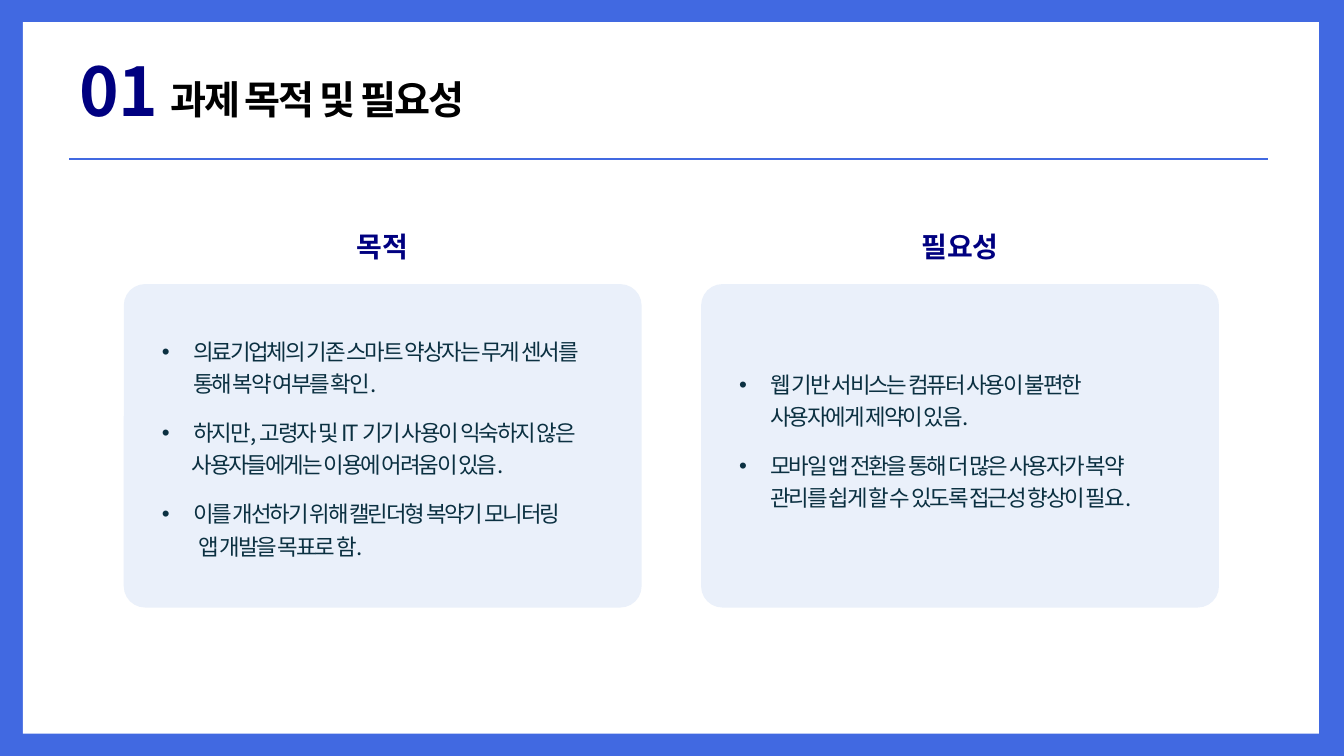
from lxml.etree import SubElement
from pptx import Presentation
from pptx.dml.color import RGBColor
from pptx.enum.shapes import MSO_CONNECTOR, MSO_SHAPE
from pptx.enum.text import MSO_AUTO_SIZE, PP_ALIGN
from pptx.oxml.ns import qn
from pptx.util import Cm, Pt

FONT = "Noto Sans CJK KR"
BLUE = RGBColor(0x41, 0x69, 0xE1)
NAVY = RGBColor(0x00, 0x00, 0x80)
PALE = RGBColor(0xEA, 0xF0, 0xFA)
INK = RGBColor(0x0B, 0x30, 0x41)
BLACK = RGBColor(0x00, 0x00, 0x00)
WHITE = RGBColor(0xFF, 0xFF, 0xFF)

HANG = 0.79  # bullet indent in cm

# Each item: text, bulleted, left margin in cm, space after in points
GOALS = [
    ("의료기업체의 기존 스마트 약상자는 무게 센서를 통해 복약 여부를 확인.", True, HANG, 12),
    ("하지만, 고령자 및 IT 기기 사용이 익숙하지 않은", True, HANG, 0),
    ("사용자들에게는 이용에 어려움이 있음.", False, 0.75, 12),
    ("이를 개선하기 위해 캘린더형 복약기 모니터링", True, HANG, 0),
    ("앱 개발을 목표로 함.", False, 0.92, 4),
]
NEEDS = [
    ("웹 기반 서비스는 컴퓨터 사용이 불편한 사용자에게 제약이 있음.", True, HANG, 12),
    ("모바일 앱 전환을 통해 더 많은 사용자가 복약 관리를 쉽게 할 수 있도록 "
     "접근성 향상이 필요.", True, HANG, 0),
]


def add_box(slide, kind, x, y, w, h, color):
    box = slide.shapes.add_shape(kind, Cm(x), Cm(y), Cm(w), Cm(h))
    box.shadow.inherit = False
    box.fill.solid()
    box.fill.fore_color.rgb = color
    box.line.fill.background()
    return box


def add_frame(slide, x, y, w, h):
    frame = slide.shapes.add_textbox(Cm(x), Cm(y), Cm(w), Cm(h)).text_frame
    frame.word_wrap = True
    frame.auto_size = MSO_AUTO_SIZE.SHAPE_TO_FIT_TEXT
    return frame


def set_font(para, size, color, bold=False, tight=False):
    font = para.font
    font.name, font.size, font.bold = FONT, Pt(size), bold
    font.color.rgb = color
    props = para._p.pPr.find(qn("a:defRPr"))
    SubElement(props, qn("a:ea")).set("typeface", FONT)
    if tight:
        props.set("spc", "-150")


def add_label(slide, box, text, size, color, align=PP_ALIGN.LEFT, tight=False):
    para = add_frame(slide, *box).paragraphs[0]
    para.text = text
    para.alignment = align
    set_font(para, size, color, True, tight)


def add_list(slide, box, items):
    frame = add_frame(slide, *box)
    for i, (text, dot, left, after) in enumerate(items):
        para = frame.add_paragraph() if i else frame.paragraphs[0]
        para.text = text
        para.line_spacing = 1.2
        para.space_after = Pt(after)
        props = para._p.get_or_add_pPr()
        props.set("marL", str(Cm(left)))
        props.set("indent", str(-Cm(left) if dot else 0))
        if dot:
            SubElement(props, qn("a:buFont")).set("typeface", "Arial")
            SubElement(props, qn("a:buChar")).set("char", "•")
        set_font(para, 16, INK, tight=True)


def add_header(slide, x, y, w):
    # Rule under the title
    rule = slide.shapes.add_connector(
        MSO_CONNECTOR.STRAIGHT, Cm(x), Cm(y + 2.89), Cm(x + w), Cm(y + 2.89))
    rule.line.color.rgb = BLUE
    rule.line.width = Pt(1.5)
    SubElement(rule._element.spPr, qn("a:effectLst"))
    # Title and number
    add_label(slide, (x + 2.29, y + 0.66, 11.66, 1.45),
              "과제 목적 및 필요성", 28, BLACK, tight=True)
    add_label(slide, (x, y, 3.58, 2.31), "01", 48, NAVY)


def add_card(slide, x, y, w, h, head, items, drop, wide):
    card = add_box(slide, MSO_SHAPE.ROUNDED_RECTANGLE, x, y, w, h, PALE)
    card.adjustments[0] = 0.066
    add_label(slide, (x + w / 2 - 1.51, y - 1.5, 3.02, 1.12),
              head, 20, NAVY, PP_ALIGN.CENTER)
    add_list(slide, (x + 0.71, y + drop, wide, h - 2 * drop), items)


def main():
    deck = Presentation()
    deck.slide_width, deck.slide_height = Cm(33.87), Cm(19.05)
    slide = deck.slides.add_slide(deck.slide_layouts[6])
    # Blue border around a white page
    slide.background.fill.solid()
    slide.background.fill.fore_color.rgb = BLUE
    add_box(slide, MSO_SHAPE.RECTANGLE, 0.58, 0.56, 32.66, 17.93, WHITE)
    # Content
    add_header(slide, 1.75, 1.12, 30.2)
    add_card(slide, 3.12, 7.16, 13.05, 8.15, "목적", GOALS, 1.1, 11.3)
    add_card(slide, 17.67, 7.16, 13.05, 8.15, "필요성", NEEDS, 1.93, 11)
    deck.save("out.pptx")


if __name__ == "__main__":
    main()
